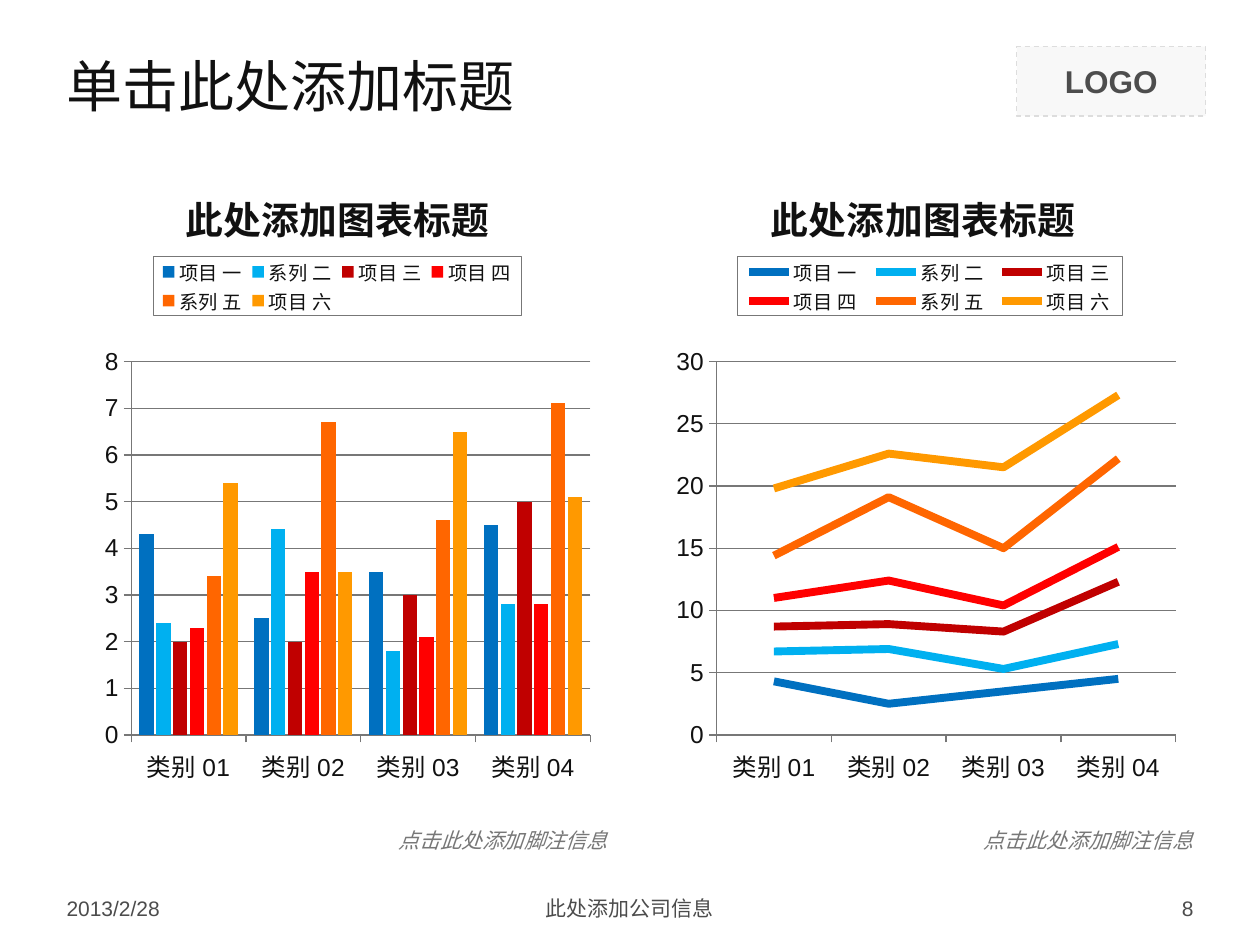
from lxml import etree
from pptx import Presentation
from pptx.chart.data import CategoryChartData
from pptx.dml.color import RGBColor
from pptx.enum.chart import XL_CHART_TYPE, XL_LEGEND_POSITION, XL_TICK_MARK
from pptx.enum.dml import MSO_LINE
from pptx.enum.shapes import MSO_SHAPE
from pptx.enum.text import MSO_ANCHOR, PP_ALIGN
from pptx.oxml import parse_xml
from pptx.oxml.ns import nsdecls, qn
from pptx.util import Inches, Pt

COLUMN = XL_CHART_TYPE.COLUMN_CLUSTERED
LINE = XL_CHART_TYPE.LINE_STACKED
TOP = XL_LEGEND_POSITION.TOP
OUT = XL_TICK_MARK.OUTSIDE
NONE = XL_TICK_MARK.NONE
DASH = MSO_LINE.DASH
RECT = MSO_SHAPE.RECTANGLE
MIDDLE, UPPER = MSO_ANCHOR.MIDDLE, MSO_ANCHOR.TOP
LEFT, CENTER, RIGHT = PP_ALIGN.LEFT, PP_ALIGN.CENTER, PP_ALIGN.RIGHT

WIDTH, HEIGHT = 10, 7.5
EDGE, GAP = 0.43, 0.15
SPAN = WIDTH - 2 * EDGE
COL = (SPAN - GAP) / 2
FONT = "Arial"
COLORS = {
    "ink": "111111", "foot": "4C4C4C", "note": "777777", "rule": "777777",
    "logo": "4D4D4D", "pale": "F8F8F8", "dash": "DDDDDD",
}
CATS = [f"类别 {n:02}" for n in range(1, 5)]
SERIES = [
    ("项目 一", (4.3, 2.5, 3.5, 4.5), "0070C0"),
    ("系列 二", (2.4, 4.4, 1.8, 2.8), "00B0F0"),
    ("项目 三", (2, 2, 3, 5), "C00000"),
    ("项目 四", (2.3, 3.5, 2.1, 2.8), "FF0000"),
    ("系列 五", (3.4, 6.7, 4.6, 7.1), "FF6600"),
    ("项目 六", (5.4, 3.5, 6.5, 5.1), "FF9900"),
]


def rgb(name):
    return RGBColor.from_string(COLORS.get(name, name))


def style(font, size, color, face=FONT):
    font.size, font.name = Pt(size), face
    font.color.rgb = rgb(color)


def write(shape, text, size, color, align=LEFT, face=FONT, anchor=MIDDLE, wrap=True):
    """Fill a shape with one styled paragraph and return its font."""
    frame = shape.text_frame
    frame.word_wrap, frame.vertical_anchor = wrap, anchor
    para = frame.paragraphs[0]
    para.text, para.alignment = text, align
    style(para.font, size, color, face)
    return para.font


def add_text(slide, box, *args, **kwargs):
    return write(slide.shapes.add_textbox(*map(Inches, box)), *args, **kwargs)


def add_logo(slide, box):
    logo = slide.shapes.add_shape(RECT, *map(Inches, box))
    logo.shadow.inherit = False
    logo.fill.solid()
    logo.fill.fore_color.rgb = rgb("pale")
    logo.line.color.rgb = rgb("dash")
    logo.line.width, logo.line.dash_style = Pt(0.75), DASH
    write(logo, "LOGO", 18, "logo", CENTER).bold = True


def place(part, index, inner=False, **shares):
    """Pin a chart part at shares of the chart's size."""
    for old in part.findall(qn("c:layout")):
        part.remove(old)
    layout = parse_xml(f"<c:layout {nsdecls('c')}><c:manualLayout/></c:layout>")
    rules = {"layoutTarget": "inner"} if inner else {}
    rules.update(xMode="edge", yMode="edge", **shares)
    for tag, value in rules.items():
        etree.SubElement(layout[0], qn(f"c:{tag}")).set("val", str(value))
    part.insert(index, layout)


def set_axis(axis, grid):
    axis.has_major_gridlines = grid
    axis.major_tick_mark, axis.minor_tick_mark = OUT, NONE
    style(axis.tick_labels.font, 14, "ink")
    lines = [axis.format.line]
    if grid:
        lines.append(axis.major_gridlines.format.line)
    for line in lines:
        line.color.rgb, line.width = rgb("rule"), Pt(0.75)


def set_legend(chart, left, width):
    chart.has_legend = True
    legend = chart.legend
    legend.position, legend.include_in_layout = TOP, False
    style(legend.font, 11, "ink")
    part = legend._element
    place(part, 1, x=left, y=0.14, w=width, h=0.09)
    part.find(qn("c:txPr")).addprevious(parse_xml(
        f'<c:spPr {nsdecls("c", "a")}><a:ln w="9525"><a:solidFill>'
        f'<a:srgbClr val="{COLORS["rule"]}"/></a:solidFill></a:ln></c:spPr>'))


def add_chart(slide, box, kind, top, step, key):
    data = CategoryChartData()
    data.categories = CATS
    for name, values, _ in SERIES:
        data.add_series(name, values)
    chart = slide.shapes.add_chart(kind, *map(Inches, box), data).chart
    style(chart.font, 18, "ink")

    chart.has_title = True
    para = chart.chart_title.text_frame.paragraphs[0]
    para.text = "此处添加图表标题"
    style(para.font, 21.6, "ink")
    para.font.bold = True
    place(chart.chart_title._element, 1, x=0.22, y=0.02)
    set_legend(chart, *key)

    set_axis(chart.category_axis, False)
    set_axis(chart.value_axis, True)
    scale = chart.value_axis
    scale.minimum_scale, scale.maximum_scale, scale.major_unit = 0, top, step
    scale.tick_labels.number_format = "General"
    scale.tick_labels.number_format_is_linked = False

    plot = chart.plots[0]
    plot.vary_by_categories = False
    if kind == COLUMN:
        plot.gap_width, plot.overlap = 117, -18
    for series, (_, _, color) in zip(plot.series, SERIES):
        if kind == LINE:
            series.smooth = False
            series.format.line.color.rgb = rgb(color)
            series.format.line.width = Pt(4.5)
        else:
            series.format.fill.solid()
            series.format.fill.fore_color.rgb = rgb(color)
    area = chart._chartSpace.chart.plotArea
    place(area, 0, inner=True, x=0.136, y=0.3, w=0.811, h=0.57)


def add_panel(slide, box, *args):
    """Place a chart with its footnote at the lower right."""
    left, top, width, height = box
    add_chart(slide, box, *args)
    note = (left + width - 1.88, top + height + 0.01, 1.88, 0.3)
    add_text(slide, note, "点击此处添加脚注信息", 12, "note", RIGHT,
             anchor=UPPER, wrap=False).italic = True


def add_footer(slide, box):
    left, top, width, height = box
    for text, share, align in (("2013/2/28", 2.33, LEFT),
                               ("此处添加公司信息", 3.17, CENTER),
                               ("8", 2.33, RIGHT)):
        shift = {LEFT: 0, CENTER: 0.5, RIGHT: 1}[align] * (width - share)
        add_text(slide, (left + shift, top, share, height), text, 12, "foot", align)


def main():
    deck = Presentation()
    deck.slide_width, deck.slide_height = Inches(WIDTH), Inches(HEIGHT)
    slide = deck.slides.add_slide(deck.slide_layouts[6])
    add_logo(slide, (8.07, 0.37, 1.5, 0.55))
    add_text(slide, (EDGE, 0.28, SPAN, 0.79), "单击此处添加标题", 32, "ink",
             face="Montserrat")
    panels = ((COLUMN, 8, 1, (0.175, 0.65)), (LINE, 30, 5, (0.173, 0.68)))
    for i, panel in enumerate(panels):
        add_panel(slide, (EDGE + i * (COL + GAP), 1.31, COL, 5.2), *panel)
    add_footer(slide, (EDGE, 7.06, SPAN, 0.29))
    deck.save("out.pptx")


if __name__ == "__main__":
    main()
